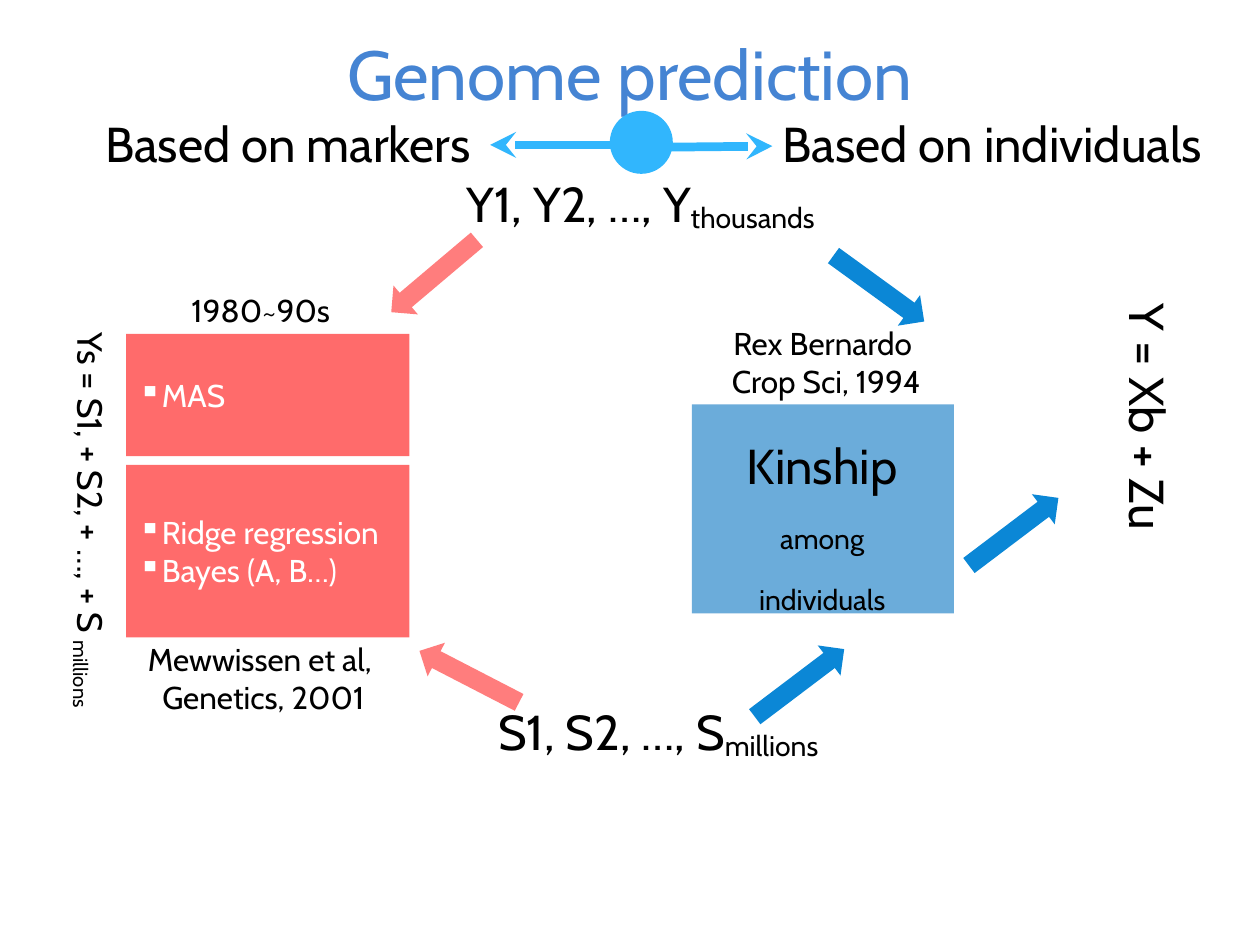
from dataclasses import dataclass

from lxml import etree
from pptx import Presentation
from pptx.dml.color import RGBColor
from pptx.enum.shapes import MSO_CONNECTOR, MSO_SHAPE
from pptx.enum.text import MSO_ANCHOR, MSO_AUTO_SIZE, PP_ALIGN
from pptx.oxml.ns import qn
from pptx.util import Inches, Pt

RECTANGLE, OVAL, ARROW = MSO_SHAPE.RECTANGLE, MSO_SHAPE.OVAL, MSO_SHAPE.RIGHT_ARROW
STRAIGHT = MSO_CONNECTOR.STRAIGHT
TOP, MIDDLE = MSO_ANCHOR.TOP, MSO_ANCHOR.MIDDLE
LEFT, CENTER = PP_ALIGN.LEFT, PP_ALIGN.CENTER
GROW, FIXED = MSO_AUTO_SIZE.SHAPE_TO_FIT_TEXT, MSO_AUTO_SIZE.NONE


@dataclass(frozen=True)
class Theme:
    font: str = "Cabin"
    title_color: str = "4584D3"
    text: str = "000000"
    light_text: str = "FFFFFF"
    marker_box: str = "FF0000"
    marker_arrow: str = "FF5050"
    kinship_box: str = "0070C0"
    kinship_arrow: str = "0B87D6"
    axis: str = "31B6FD"
    title_size: float = 39.6
    heading: int = 28
    formula: int = 20
    body: int = 18
    box_opacity: int = 58
    arrow_opacity: int = 74
    subscript: int = -12


def write_text(frame, paragraphs, *, font, size, color, align=CENTER,
               anchor=TOP, bullet=None, subscript=0):
    """Each paragraph is a (plain, subscript) pair of strings."""
    frame.word_wrap = True
    frame.vertical_anchor = anchor
    for index, parts in enumerate(paragraphs):
        paragraph = frame.add_paragraph() if index else frame.paragraphs[0]
        paragraph.alignment = align
        if bullet:
            properties = paragraph._p.get_or_add_pPr()
            etree.SubElement(properties, qn("a:buChar")).set("char", bullet)
        for text, baseline in zip(parts, (0, subscript)):
            if not text:
                continue
            run = paragraph.add_run()
            run.text = text
            run.font.name = font
            run.font.size = Pt(size)
            run.font.color.rgb = RGBColor.from_string(color)
            if baseline:
                run._r.get_or_add_rPr().set("baseline", str(baseline * 1000))


class SlideBuilder:
    def __init__(self, slide, theme):
        self.slide = slide
        self.theme = theme

    def label(self, box, *paragraphs, size, color=None, rotation=0,
              anchor=TOP, auto_size=GROW):
        shape = self.slide.shapes.add_textbox(*map(Inches, box))
        shape.rotation = rotation
        write_text(shape.text_frame, paragraphs, font=self.theme.font, size=size,
                   color=color or self.theme.text, anchor=anchor,
                   subscript=self.theme.subscript)
        shape.text_frame.auto_size = auto_size

    def block(self, kind, box, color, opacity=100, rotation=0):
        shape = self.slide.shapes.add_shape(kind, *map(Inches, box))
        shape.shadow.inherit = False
        shape.rotation = rotation
        shape.fill.solid()
        shape.fill.fore_color.rgb = RGBColor.from_string(color)
        shape.line.fill.background()
        if opacity < 100:
            fill = shape._element.spPr.find(".//" + qn("a:srgbClr"))
            etree.SubElement(fill, qn("a:alpha")).set("val", str(opacity * 1000))
        return shape

    def bullet_block(self, box, *items):
        shape = self.block(RECTANGLE, box, self.theme.marker_box, self.theme.box_opacity)
        write_text(shape.text_frame, [(item, "") for item in items],
                   font=self.theme.font, size=self.theme.body,
                   color=self.theme.light_text, align=LEFT, anchor=MIDDLE, bullet="▪")

    def arrow(self, left, top, rotation, color, opacity=100):
        self.block(ARROW, (left, top, 0.89, 0.3), color, opacity, rotation)

    def axis_line(self, start, end, *arrow_ends):
        connector = self.slide.shapes.add_connector(
            STRAIGHT, *map(Inches, (*start, *end)))
        connector.line.color.rgb = RGBColor.from_string(self.theme.axis)
        connector.line.width = Pt(5)
        line = connector.line._get_or_add_ln()
        for arrow_end in arrow_ends:
            etree.SubElement(line, qn(arrow_end)).set("type", "stealth")
        etree.SubElement(connector._element.spPr, qn("a:effectLst"))


def main():
    presentation = Presentation()
    presentation.slide_width, presentation.slide_height = Inches(10), Inches(7.5)
    slide = presentation.slides.add_slide(presentation.slide_layouts[6])
    theme = Theme()
    builder = SlideBuilder(slide, theme)

    # Title
    builder.label((0.5, 0.17, 9, 0.81), ("Genome prediction", ""),
                  size=theme.title_size, color=theme.title_color,
                  anchor=MIDDLE, auto_size=FIXED)

    # Kinship box and the marker boxes
    builder.block(RECTANGLE, (5.49, 3.21, 2.08, 1.66), theme.kinship_box, theme.box_opacity)
    builder.bullet_block((1, 2.65, 2.25, 0.97), "MAS")
    builder.bullet_block((1, 3.69, 2.25, 1.37), "Ridge regression", "Bayes (A, B…)")

    # Headings, data and model labels
    for box, paragraphs, rotation in (
        ((6.02, 0.85, 3.71, 0.57), [("Based on individuals", "")], 0),
        ((0.43, 0.85, 3.71, 0.57), [("Based on markers", "")], 0),
        ((3, 1.33, 4.17, 0.57), [("Y1, Y2, …, Y", "thousands")], 0),
        ((3.06, 5.52, 4.33, 0.57), [("S1, S2, …, S", "millions")], 0),
        ((5.65, 3.41, 1.75, 1.2), [("Kinship", ""), ("", "among individuals")], 0),
        ((7.58, 3.02, 3.08, 0.57), [("Y = Xb + Zu", "")], 90),
    ):
        builder.label(box, *paragraphs, size=theme.heading, rotation=rotation)
    builder.label((-1.73, 3.91, 4.9, 0.44), ("Ys = S1, + S2, + …, + S ", "millions"),
                  size=theme.formula, rotation=90)

    # Dates and citations
    for box, lines in (
        ((0.97, 2.26, 2.2, 0.4), ["1980~90s"]),
        ((0.99, 5.03, 2.2, 0.71), ["Mewwissen et al, ", "Genetics, 2001"]),
        ((5.43, 2.52, 2.2, 0.71), ["Rex Bernardo", " Crop Sci, 1994"]),
    ):
        builder.label(box, *[(line, "") for line in lines], size=theme.body)

    # Flow arrows
    for left, top, rotation in ((3, 2.04, 139.8), (3.28, 5.22, 207.3)):
        builder.arrow(left, top, rotation, theme.marker_arrow, theme.arrow_opacity)
    for left, top, rotation in ((6.53, 2.14, 36), (5.9, 5.27, 322.9), (7.6, 4.07, 322.9)):
        builder.arrow(left, top, rotation, theme.kinship_arrow)

    # Axis between the two approaches
    builder.axis_line((6.13, 1.16), (5.09, 1.17), "a:headEnd")
    builder.block(OVAL, (4.84, 0.88, 0.5, 0.5), theme.axis)
    builder.axis_line((5.09, 1.15), (3.89, 1.15), "a:headEnd", "a:tailEnd")

    presentation.save("out.pptx")


if __name__ == "__main__":
    main()
